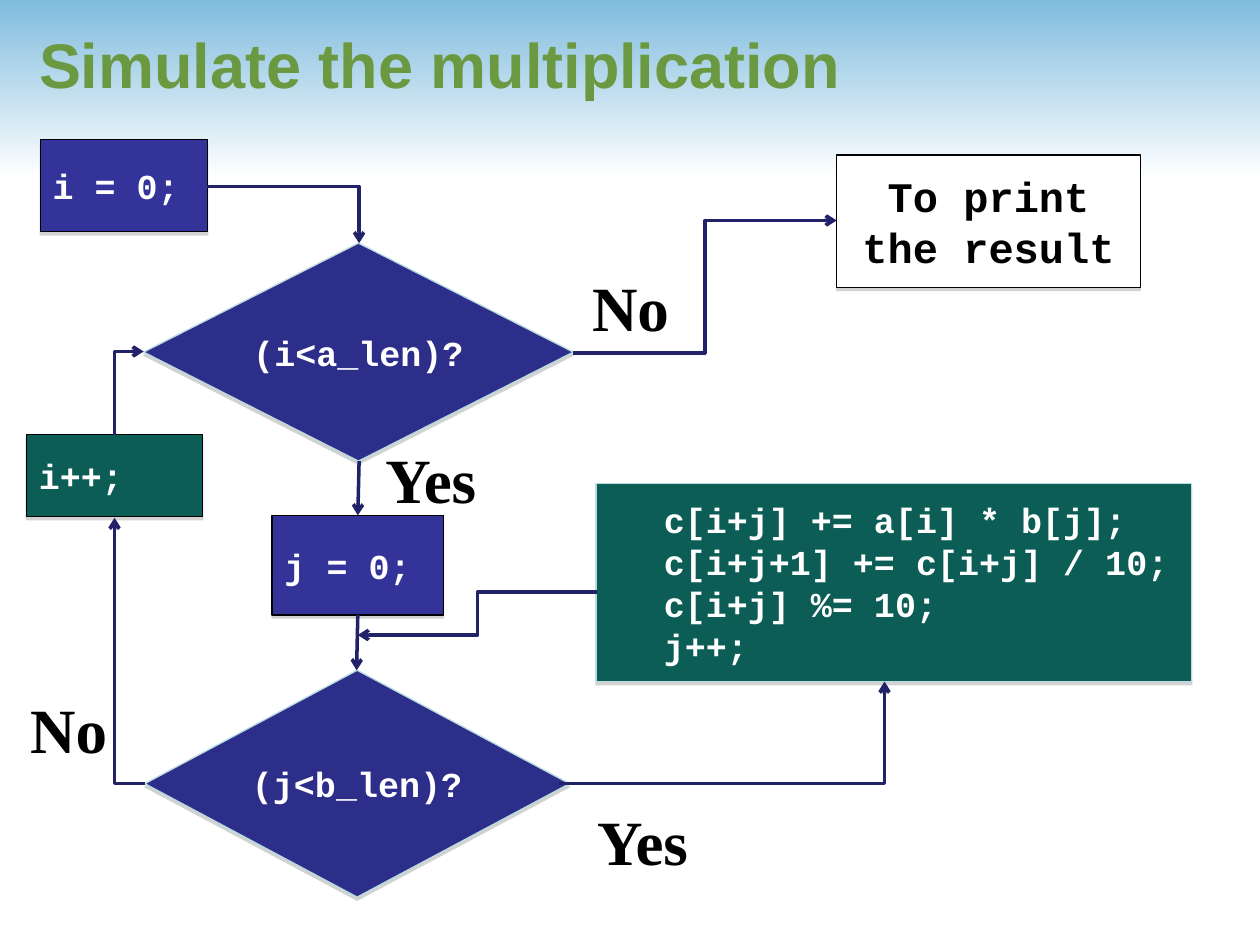
from dataclasses import dataclass

from lxml import etree
from pptx import Presentation
from pptx.dml.color import RGBColor
from pptx.enum.shapes import MSO_CONNECTOR, MSO_SHAPE
from pptx.enum.text import MSO_ANCHOR, MSO_AUTO_SIZE, PP_ALIGN
from pptx.oxml import parse_xml
from pptx.oxml.ns import nsdecls, qn
from pptx.util import Inches, Pt

RECT, DIAMOND = MSO_SHAPE.RECTANGLE, MSO_SHAPE.DIAMOND
LINE, ELBOW = MSO_CONNECTOR.STRAIGHT, MSO_CONNECTOR.ELBOW
LEFT, CENTER = PP_ALIGN.LEFT, PP_ALIGN.CENTER
MIDDLE = MSO_ANCHOR.MIDDLE
FIT = MSO_AUTO_SIZE.SHAPE_TO_FIT_TEXT
COLS, ROWS = 100, 75
CELL = Inches(0.1)


@dataclass(frozen=True)
class Theme:
    sky: str = "80BCDE"
    white: str = "FFFFFF"
    black: str = "000000"
    title: str = "6B9941"
    step: str = "333399"
    test: str = "2D2D8A"
    work: str = "0B5D55"
    edge: str = "B6DCDF"
    arrow: str = "222268"
    shade: str = "808080"
    head: str = "Arial"
    code: str = "Courier New"
    label: str = "Times New Roman"
    big: int = 36
    mid: int = 24
    small: int = 20


THEME = Theme()


def rgb(code):
    return RGBColor.from_string(code)


def grid(*cells):
    return [round(n * CELL) for n in cells]


def write(frame, text, font, size, color, align=LEFT):
    frame.text = text
    for para in frame.paragraphs:
        para.alignment = align
        for run in para.runs:
            run.font.name = font
            run.font.size = Pt(size)
            run.font.bold = True
            run.font.color.rgb = rgb(color)


def add_band(slide):
    band = slide.shapes.add_shape(RECT, *grid(0, 0, COLS, 14.2))
    band.shadow.inherit = False
    band.line.fill.background()
    band.fill.gradient()
    band.fill.gradient_angle = 270
    for stop, color in zip(band.fill.gradient_stops, (THEME.sky, THEME.white)):
        stop.color.rgb = rgb(color)
    slide.shapes.element.insert(2, band.element)


def add_title(slide, text):
    title = slide.shapes.title
    title.left, title.top, title.width, title.height = grid(2.1, -0.4, 80.8, 10.9)
    title.text_frame.vertical_anchor = MIDDLE
    write(title.text_frame, text, THEME.head, THEME.big, THEME.title)


def add_shade(shape):
    shape.shadow.inherit = False
    shape.element.spPr.find(qn("a:effectLst")).append(parse_xml(
        f'<a:outerShdw {nsdecls("a")} dist="{Pt(1.8)}" dir="5400000" '
        f'algn="ctr" rotWithShape="0"><a:srgbClr val="{THEME.shade}">'
        '<a:alpha val="35000"/></a:srgbClr></a:outerShdw>'))


def add_node(slide, kind, cells, text, fill, edge=THEME.black,
             ink=THEME.white, size=THEME.small, align=LEFT):
    node = slide.shapes.add_shape(kind, *grid(*cells))
    node.fill.solid()
    node.fill.fore_color.rgb = rgb(fill)
    node.line.color.rgb = rgb(edge)
    node.line.width = Pt(0.75)
    add_shade(node)
    frame = node.text_frame
    frame.word_wrap = True
    frame.vertical_anchor = MIDDLE
    write(frame, text, THEME.code, size, ink, align)
    return node


def add_test(slide, cells, text):
    node = add_node(slide, DIAMOND, cells, text, THEME.test, THEME.edge, align=CENTER)
    node.text_frame.margin_left = node.text_frame.margin_right = 0


def add_work(slide, cells, text):
    node = add_node(slide, RECT, cells, text, THEME.work, THEME.edge)
    for para in node.text_frame.paragraphs:
        props = para._p.get_or_add_pPr()
        props.set("marL", str(Inches(1)))
        props.set("indent", str(Inches(-0.56)))


def add_label(slide, cells, text):
    frame = slide.shapes.add_textbox(*grid(*cells)).text_frame
    frame.word_wrap = False
    frame.auto_size = FIT
    write(frame, text, THEME.label, THEME.big, THEME.black)


def add_arrow(slide, start, end, kind=LINE, corner=False):
    arrow = slide.shapes.add_connector(kind, *grid(*start, *end))
    arrow.line.color.rgb = rgb(THEME.arrow)
    arrow.line.width = Pt(2)
    props = arrow.element.spPr
    tip = etree.SubElement(arrow.line._get_or_add_ln(), qn("a:tailEnd"))
    tip.set("type", "arrow")
    etree.SubElement(props, qn("a:effectLst"))
    if corner:
        props.find(qn("a:prstGeom")).set("prst", "bentConnector2")
    return arrow


def add_rise(slide, start, end):
    (x1, y1), (x2, y2) = start, end
    mid_x, mid_y = (x1 + x2) / 2, (y1 + y2) / 2
    half_x, half_y = (x2 - x1) / 2, (y2 - y1) / 2
    arrow = add_arrow(slide, (mid_x - half_y, mid_y + half_x),
                      (mid_x + half_y, mid_y - half_x), ELBOW, True)
    arrow.element.spPr.find(qn("a:xfrm")).set("rot", "5400000")


def main():
    deck = Presentation()
    deck.slide_width, deck.slide_height = grid(COLS, ROWS)
    slide = deck.slides.add_slide(deck.slide_layouts[5])
    add_band(slide)
    add_title(slide, "Simulate the multiplication")

    add_node(slide, RECT, (3.2, 11.1, 13.3, 7.3), "i = 0;", THEME.step)
    add_test(slide, (11.4, 19.3, 34.1, 17.3), "(i<a_len)?")
    add_work(slide, (47.3, 38.4, 47.3, 15.7),
             "c[i+j] += a[i] * b[j];\nc[i+j+1] += c[i+j] / 10;\n"
             "c[i+j] %= 10;\nj++;")
    add_node(slide, RECT, (21.6, 40.9, 13.6, 7.9), "j = 0;", THEME.step)
    add_test(slide, (11.5, 53.2, 33.7, 18), "(j<b_len)?")
    add_node(slide, RECT, (66.4, 12.3, 24.1, 10.5), "To print the result",
             THEME.white, ink=THEME.black, size=THEME.mid, align=CENTER)
    add_node(slide, RECT, (2.1, 34.5, 14, 6.5), "i++;", THEME.work)

    for start, end in (((28.5, 36.6), (28.4, 40.9)), ((28.4, 48.8), (28.3, 53.2))):
        add_arrow(slide, start, end)
    for start, end, corner in (
        ((16.4, 14.8), (28.5, 19.3), True),
        ((44.4, 62.2), (70.2, 54.1), True),
        ((11.5, 62.2), (9.1, 41.1), True),
        ((45.5, 28), (66.4, 17.5), False),
        ((47.4, 47), (28.4, 50.4), False),
    ):
        add_arrow(slide, start, end, ELBOW, corner)
    add_rise(slide, (9.1, 34.5), (11.4, 27.9))

    for left, top, width, text in (
        (29.6, 34.5, 9.8, "Yes"),
        (46, 20.8, 8.1, "No"),
        (46.4, 63.2, 9.8, "Yes"),
        (1.4, 54.3, 8.1, "No"),
    ):
        add_label(slide, (left, top, width, 7), text)

    deck.save("out.pptx")


if __name__ == "__main__":
    main()
